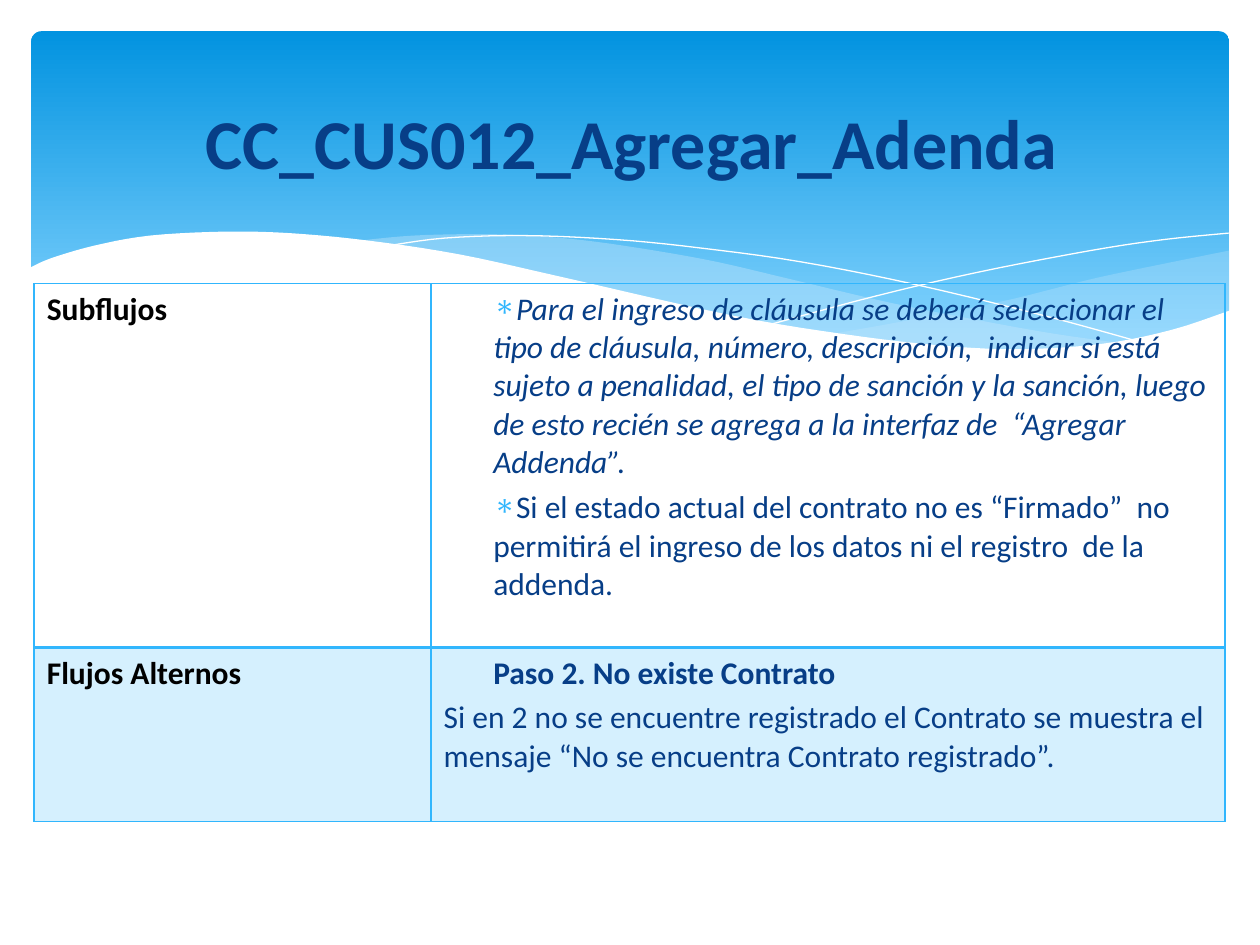
"""Build the slide on the CC_CUS012_Agregar_Adenda use case."""
from lxml.etree import SubElement
from pptx import Presentation
from pptx.dml.color import RGBColor
from pptx.enum.shapes import MSO_SHAPE
from pptx.enum.text import MSO_ANCHOR, PP_ALIGN
from pptx.oxml.ns import qn
from pptx.util import Cm, Pt

FONT = "Calibri"
NAVY = RGBColor(0x07, 0x3E, 0x87)
BLACK = RGBColor(0x00, 0x00, 0x00)
WHITE = RGBColor(0xFF, 0xFF, 0xFF)
SKY = RGBColor(0x31, 0xB6, 0xFD)
PALE = RGBColor(0xC6, 0xE7, 0xFC)
BANNER_TOP = RGBColor(0x02, 0x93, 0xE0)
BANNER_BOTTOM = RGBColor(0x83, 0xD3, 0xFE)

TITLE = "CC_CUS012_Agregar_Adenda"
LABEL = {"bold": True, "color": BLACK}
STEP = {"indent": 1}
BULLET = {"indent": 1, "bullet": "∗"}
ROWS = [
    {
        "height": 7.34,
        "opacity": 0,
        "cells": [
            [("Subflujos", LABEL)],
            [
                ("Para el ingreso de cláusula se deberá seleccionar el tipo de cláusula, "
                 "número, descripción,  indicar si está sujeto a penalidad, el tipo de "
                 "sanción y la sanción, luego de esto recién se agrega a la interfaz de  "
                 "“Agregar Addenda”.", {**BULLET, "italic": True}),
                ("Si el estado actual del contrato no es “Firmado”  no permitirá el "
                 "ingreso de los datos ni el registro  de la addenda.", BULLET),
            ],
        ],
    },
    {
        "height": 3.5,
        "opacity": 20,
        "cells": [
            [("Flujos Alternos", LABEL)],
            [
                ("Paso 2. No existe Contrato", {**STEP, "bold": True}),
                ("Si en 2 no se encuentre registrado el Contrato se muestra el mensaje "
                 "“No se encuentra Contrato registrado”.", {}),
            ],
        ],
    },
]
COLUMN_WIDTHS = [8, 16]

RIGHT_WAVE = [
    [(24.79, 5.05), (23.75, 5.26), (22.63, 5.49), (21.87, 5.66), (20.45, 6.02),
     (19.13, 6.3), (17.93, 6.53), (16.79, 6.73)],
    [(16.79, 6.73), (17.91, 6.88), (19.23, 7.01), (20.4, 7.06), (21.69, 7.01),
     (22.78, 6.86), (23.75, 6.63), (24.79, 6.27)],
]
MIDDLE_WAVE = [
    [(22.68, 6.93), (21.26, 6.73), (19.69, 6.45), (17.93, 6.1), (15.98, 5.64),
     (14.45, 5.28), (13.06, 5.03), (11.81, 4.85), (10.67, 4.75), (9.65, 4.72),
     (8.33, 4.75), (7.26, 4.85)],
    [(7.26, 4.85), (8.69, 5.05), (10.26, 5.36), (11.4, 5.64), (13.46, 6.1),
     (15.27, 6.48), (16.89, 6.76), (18.34, 6.96), (19.63, 7.04), (20.78, 7.06),
     (21.77, 7.04), (22.68, 6.93)],
]
FALLING_LINE = [
    [(7.85, 4.95), (8.97, 4.8), (10.57, 4.75), (12.42, 4.83), (14.12, 5),
     (16.15, 5.28), (18.47, 5.74), (21.11, 6.38), (23.04, 6.91)],
]
RISING_LINE = [
    [(15.57, 6.53), (17.65, 5.97), (19.71, 5.49), (22, 5.05), (23.47, 4.83),
     (24.77, 4.7)],
]
WHITE_WAVE = [
    [(24.82, 6.25), (23.62, 6.65), (22.23, 6.93), (20.55, 7.04), (18.9, 6.96),
     (16.97, 6.73), (14.71, 6.35), (11.35, 5.59), (9.27, 5.13), (7.42, 4.85),
     (5.84, 4.7), (4.5, 4.67), (3.02, 4.75), (1.91, 4.95), (1.02, 5.21),
     (0.58, 5.41)],
    [(0.58, 8.36), (24.82, 8.36)],
]
WAVES = [
    (RIGHT_WAVE, PALE, 29),
    (MIDDLE_WAVE, PALE, 40),
    (FALLING_LINE, None, 0),
    (RISING_LINE, None, 0),
    (WHITE_WAVE, WHITE, 100),
]


def smooth_curve(points, steps=5):
    """Return points of a Catmull-Rom curve through the given points."""
    padded = [points[0], *points, points[-1]]
    curve = [points[0]]
    for before, start, end, after in zip(padded, padded[1:], padded[2:], padded[3:]):
        for step in range(1, steps + 1):
            t = step / steps
            curve.append(tuple(
                b + ((c - a) * t + (2 * a - 5 * b + 4 * c - d) * t ** 2
                     + (3 * b - a - 3 * c + d) * t ** 3) / 2
                for a, b, c, d in zip(before, start, end, after)))
    return curve


def set_fill(fill, color, opacity):
    """Fill with a colour at an opacity in percent."""
    if not opacity:
        fill.background()
        return
    fill.solid()
    fill.fore_color.rgb = color
    if opacity < 100:
        color_element = fill._xPr.find(qn("a:solidFill"))[0]
        SubElement(color_element, qn("a:alpha"), val=str(opacity * 1000))


def add_wave(slide, curves, color, opacity):
    """Draw a closed wave, or an open white line when there is no colour."""
    points = [(Cm(x), Cm(y)) for curve in curves for x, y in smooth_curve(curve)]
    builder = slide.shapes.build_freeform(*points[0])
    builder.add_line_segments(points[1:], close=color is not None)
    shape = builder.convert_to_shape()
    shape.shadow.inherit = False
    set_fill(shape.fill, color, opacity)
    if color is None:
        shape.line.color.rgb = WHITE
        shape.line.width = Pt(0)
    else:
        shape.line.fill.background()


def add_banner(slide):
    """Draw the rounded gradient banner."""
    shape = slide.shapes.add_shape(
        MSO_SHAPE.ROUNDED_RECTANGLE, Cm(0.63), Cm(0.63), Cm(24.15), Cm(6.86))
    shape.adjustments[0] = 0.03
    shape.shadow.inherit = False
    shape.line.fill.background()
    shape.fill.gradient()
    shape.fill.gradient_angle = 270
    stops = zip(shape.fill.gradient_stops, (0, 0.9), (BANNER_TOP, BANNER_BOTTOM))
    for stop, position, color in stops:
        stop.position = position
        stop.color.rgb = color


def write_run(paragraph, text, size, color=NAVY, bold=False, italic=False):
    """Add one formatted run."""
    run = paragraph.add_run()
    run.text = text
    run.font.name = FONT
    run.font.size = Pt(size)
    run.font.color.rgb = color
    run.font.bold = bold
    run.font.italic = italic


def add_title(slide):
    """Place the slide title on the banner."""
    frame = slide.shapes.add_textbox(Cm(1.3), Cm(1.12), Cm(22.86), Cm(3.48)).text_frame
    frame.word_wrap = True
    frame.vertical_anchor = MSO_ANCHOR.MIDDLE
    frame.paragraphs[0].alignment = PP_ALIGN.CENTER
    write_run(frame.paragraphs[0], TITLE, 40, bold=True)


def write_cell(cell, paragraphs):
    """Write the paragraphs of one table cell."""
    for index, (text, style) in enumerate(paragraphs):
        frame = cell.text_frame
        paragraph = frame.add_paragraph() if index else frame.paragraphs[0]
        style = dict(style)
        properties = paragraph._p.get_or_add_pPr()
        properties.set("marL", str(Cm(style.pop("indent", 0))))
        properties.set("indent", "0")
        bullet = style.pop("bullet", None)
        if bullet:
            bullet_color = SubElement(properties, qn("a:buClr"))
            SubElement(bullet_color, qn("a:srgbClr"), val=str(SKY))
            SubElement(properties, qn("a:buChar"), char=bullet)
        if index:
            paragraph.space_before = Pt(3.6)
        write_run(paragraph, text, 18, **style)


def set_borders(cell, widths):
    """Put borders of the given widths in points before the cell fill."""
    properties = cell._tc.get_or_add_tcPr()
    for index, (side, width) in enumerate(widths.items()):
        line = SubElement(properties, qn(f"a:ln{side}"), w=str(Pt(width)))
        solid = SubElement(line, qn("a:solidFill"))
        SubElement(solid, qn("a:srgbClr"), val=str(SKY))
        properties.insert(index, line)


def add_flow_table(slide):
    """Add the table of subflows and alternate flows."""
    table = slide.shapes.add_table(
        len(ROWS), len(COLUMN_WIDTHS), Cm(0.69), Cm(5.72), Cm(sum(COLUMN_WIDTHS)),
        Cm(sum(row["height"] for row in ROWS))).table
    table.first_row = False
    table.horz_banding = False
    for column, width in zip(table.columns, COLUMN_WIDTHS):
        column.width = Cm(width)
    for index, row in enumerate(ROWS):
        table.rows[index].height = Cm(row["height"])
        widths = {"L": 1, "R": 1, "T": 2 if index else 1,
                  "B": 2 if index < len(ROWS) - 1 else 1}
        for cell, paragraphs in zip(table.rows[index].cells, row["cells"]):
            set_fill(cell.fill, SKY, row["opacity"])
            set_borders(cell, widths)
            write_cell(cell, paragraphs)


def main():
    """Build and save the presentation."""
    presentation = Presentation()
    presentation.slide_width = Cm(25.4)
    presentation.slide_height = Cm(19.05)
    slide = presentation.slides.add_slide(presentation.slide_layouts[6])
    add_banner(slide)
    for curves, color, opacity in WAVES:
        add_wave(slide, curves, color, opacity)
    add_title(slide)
    add_flow_table(slide)
    presentation.save("out.pptx")


if __name__ == "__main__":
    main()
